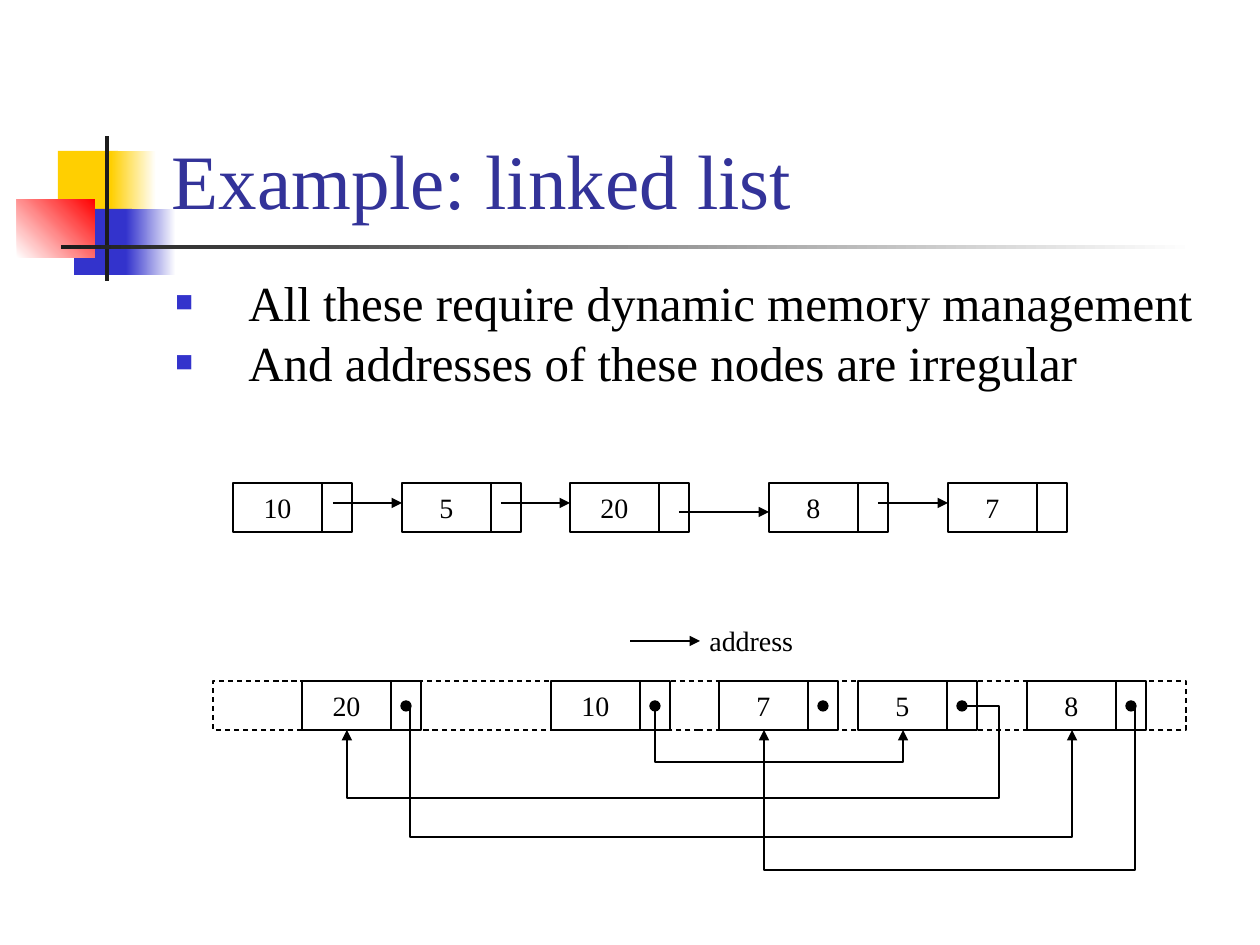
from collections import namedtuple

from lxml.etree import SubElement
from pptx import Presentation
from pptx.dml.color import RGBColor
from pptx.enum.dml import MSO_LINE
from pptx.enum.shapes import MSO_CONNECTOR, MSO_SHAPE
from pptx.enum.text import MSO_ANCHOR, MSO_AUTO_SIZE, PP_ALIGN
from pptx.oxml.ns import qn
from pptx.util import Emu, Pt

SCALE = 914400 / 126
FONT = "Times New Roman"
BLACK = RGBColor(0x00, 0x00, 0x00)
WHITE = RGBColor(0xFF, 0xFF, 0xFF)
CHARCOAL = RGBColor(0x1C, 0x1C, 0x1C)
YELLOW = RGBColor(0xFF, 0xCF, 0x01)
BLUE = RGBColor(0x33, 0x33, 0xCC)
RED = RGBColor(0xFF, 0x00, 0x00)
TITLE_BLUE = RGBColor(0x33, 0x33, 0x99)

DATA_WIDTH = 89
LINK_WIDTH = 30
DOT_SIZE = 10

Box = namedtuple("Box", "left top width height")


def px(length):
    return Emu(round(length * SCALE))


def frame(box):
    return [px(length) for length in box]


def style_font(font, size, color):
    font.name = FONT
    font.size = Pt(size)
    font.color.rgb = color


def add_outline(shapes, kind, box, fill=None):
    shape = shapes.add_shape(kind, *frame(box))
    shape.shadow.inherit = False
    if fill is None:
        shape.fill.background()
    else:
        shape.fill.solid()
        shape.fill.fore_color.rgb = fill
    shape.line.color.rgb = BLACK
    shape.line.width = Pt(0.75)
    return shape


def add_arrow(shapes, kind, start, end):
    arrow = shapes.add_connector(kind, *frame(start + end))
    arrow.line.color.rgb = BLACK
    arrow.line.width = Pt(0.75)
    properties = arrow._element.spPr
    SubElement(properties.find(qn("a:ln")), qn("a:tailEnd"), type="triangle")
    SubElement(properties, qn("a:effectLst"))
    return arrow


def set_bends(arrow, *bends):
    geometry = arrow._element.spPr.find(qn("a:prstGeom"))
    geometry.set("prst", f"bentConnector{len(bends) + 2}")
    guides = geometry.find(qn("a:avLst"))
    for number, bend in enumerate(bends, 1):
        SubElement(guides, qn("a:gd"), name=f"adj{number}", fmla=f"val {round(bend * 100000)}")


def add_downward_elbow(shapes, start, end, turn_y):
    (start_x, start_y), (end_x, end_y) = start, end
    drop, reach = end_y - start_y, abs(end_x - start_x)
    left = (start_x + end_x - drop) / 2
    top = (start_y + end_y - reach) / 2
    goes_right = end_x > start_x
    first_x, last_x = (left + drop, left) if goes_right else (left, left + drop)
    arrow = add_arrow(shapes, MSO_CONNECTOR.ELBOW, (first_x, top), (last_x, top + reach))
    degrees = 270 if goes_right else 90
    arrow._element.spPr.find(qn("a:xfrm")).set("rot", str(degrees * 60000))
    set_bends(arrow, (turn_y - start_y) / drop)


def add_sideways_elbow(shapes, start, end, turn_x, turn_y):
    arrow = add_arrow(shapes, MSO_CONNECTOR.ELBOW, start, end)
    set_bends(arrow, (turn_x - start[0]) / (end[0] - start[0]),
              (turn_y - start[1]) / (end[1] - start[1]))


def draw_node(shapes, left, top, height, value):
    data = add_outline(shapes, MSO_SHAPE.RECTANGLE, Box(left, top, DATA_WIDTH, height))
    text = data.text_frame
    text.word_wrap = False
    text.vertical_anchor = MSO_ANCHOR.MIDDLE
    text.text = value
    text.paragraphs[0].alignment = PP_ALIGN.CENTER
    style_font(text.paragraphs[0].runs[0].font, 16, BLACK)
    add_outline(shapes, MSO_SHAPE.RECTANGLE, Box(left + DATA_WIDTH, top, LINK_WIDTH, height))


def draw_ornament(page, box):
    blocks = [
        (Box(41, 15, 60, 66), YELLOW, None, 0),
        (Box(94, 15, 45, 66), YELLOW, WHITE, 0),
        (Box(57, 73, 58, 66), BLUE, None, 0),
        (Box(109, 73, 50, 66), BLUE, WHITE, 0),
        (Box(0, 63, 78, 59), WHITE, RED, 45),
        (Box(88, 0, 4, box.height), CHARCOAL, None, 0),
        (Box(44, 109, box.width - 44, 4), CHARCOAL, WHITE, 0),
    ]
    for block, first, last, angle in blocks:
        place = block._replace(left=box.left + block.left, top=box.top + block.top)
        shape = page.shapes.add_shape(MSO_SHAPE.RECTANGLE, *frame(place))
        shape.shadow.inherit = False
        shape.line.fill.background()
        if last is None:
            shape.fill.solid()
            shape.fill.fore_color.rgb = first
        else:
            shape.fill.gradient()
            shape.fill.gradient_angle = angle
            for stop, color in zip(shape.fill.gradient_stops, (first, last)):
                stop.color.rgb = color


def draw_title(page, box):
    title = page.shapes.title
    title.left, title.top, title.width, title.height = frame(box)
    text = title.text_frame
    text.text = "Example: linked list"
    text.auto_size = MSO_AUTO_SIZE.NONE
    text.vertical_anchor = MSO_ANCHOR.BOTTOM
    text.paragraphs[0].alignment = PP_ALIGN.LEFT
    style_font(text.paragraphs[0].runs[0].font, 44, TITLE_BLUE)
    page.shapes._spTree.append(title._element)


def draw_points(page, box):
    text = page.shapes.add_textbox(*frame(box)).text_frame
    text.word_wrap = True
    text.text = "All these require dynamic memory management\nAnd addresses of these nodes are irregular"
    indent = px(73)
    for index, para in enumerate(text.paragraphs):
        para.line_spacing = 0.8
        if index:
            para.space_before = Pt(7)
        properties = para._p.get_or_add_pPr()
        properties.set("marL", str(indent))
        properties.set("indent", str(-indent))
        SubElement(SubElement(properties, qn("a:buClr")), qn("a:srgbClr"), val=str(BLUE))
        SubElement(properties, qn("a:buSzPct"), val="60000")
        SubElement(properties, qn("a:buFont"), typeface=FONT)
        SubElement(properties, qn("a:buChar"), char="■")
        style_font(para.runs[0].font, 28, BLACK)


def draw_list(page, box):
    shapes = page.shapes.add_group_shape().shapes
    nodes = [("10", 0), ("5", 169), ("20", 337), ("8", 536), ("7", 715)]
    for value, offset in nodes:
        draw_node(shapes, box.left + offset, box.top, box.height, value)
    links = [(100, 20), (99, 20), (109, 29), (109, 20)]
    for (_, source), (_, target), (tail, drop) in zip(nodes, nodes[1:], links):
        y = box.top + drop
        add_arrow(shapes, MSO_CONNECTOR.STRAIGHT,
                  (box.left + source + tail, y), (box.left + target, y))


def draw_memory(page, box):
    shapes = page.shapes.add_group_shape().shapes
    legend_y = box.top - 40
    add_arrow(shapes, MSO_CONNECTOR.STRAIGHT,
              (box.left + 417, legend_y), (box.left + 487, legend_y))
    label = shapes.add_textbox(*frame(Box(box.left + 484, box.top - 64, 120, 47))).text_frame
    label.word_wrap = True
    label.text = "address"
    style_font(label.paragraphs[0].runs[0].font, 16, BLACK)

    memory = add_outline(shapes, MSO_SHAPE.RECTANGLE, box)
    memory.line.dash_style = MSO_LINE.DASH
    offsets = {"20": 89, "10": 338, "7": 506, "5": 645, "8": 814}
    nodes = {value: box.left + offset for value, offset in offsets.items()}
    for value, left in nodes.items():
        draw_node(shapes, left, box.top, box.height, value)
        dot = Box(left + 99, box.top + 20, DOT_SIZE, DOT_SIZE)
        add_outline(shapes, MSO_SHAPE.OVAL, dot, BLACK)

    def target(value):
        return nodes[value] + 45, box.top + box.height

    for source, goal, tail, drop, turn in [
        ("10", "5", 104, 30, 81),
        ("20", "8", 108, 28, 156),
        ("8", "7", 108, 28, 189),
    ]:
        start = nodes[source] + tail, box.top + drop
        add_downward_elbow(shapes, start, target(goal), box.top + turn)
    start = nodes["5"] + 109, box.top + 25
    add_sideways_elbow(shapes, start, target("20"), nodes["5"] + 141, box.top + 117)


def main():
    deck = Presentation()
    deck.slide_width, deck.slide_height = px(1260), px(945)
    page = deck.slides.add_slide(deck.slide_layouts[5])
    draw_ornament(page, Box(17, 136, 1178, 145))
    draw_title(page, Box(159, 29, 1073, 202))
    draw_points(page, Box(163, 278, 1071, 125))
    draw_list(page, Box(233, 483, 834, 49))
    draw_memory(page, Box(213, 681, 973, 49))
    deck.save("out.pptx")


if __name__ == "__main__":
    main()
